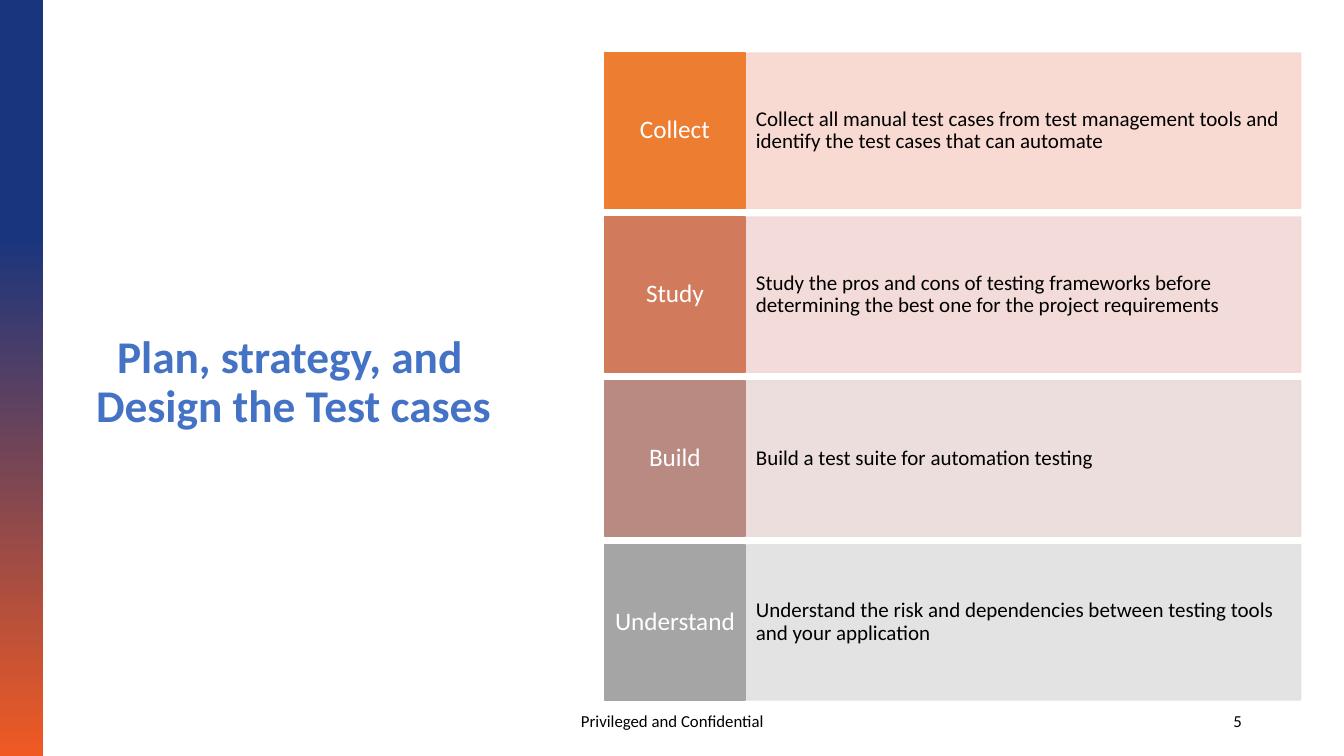
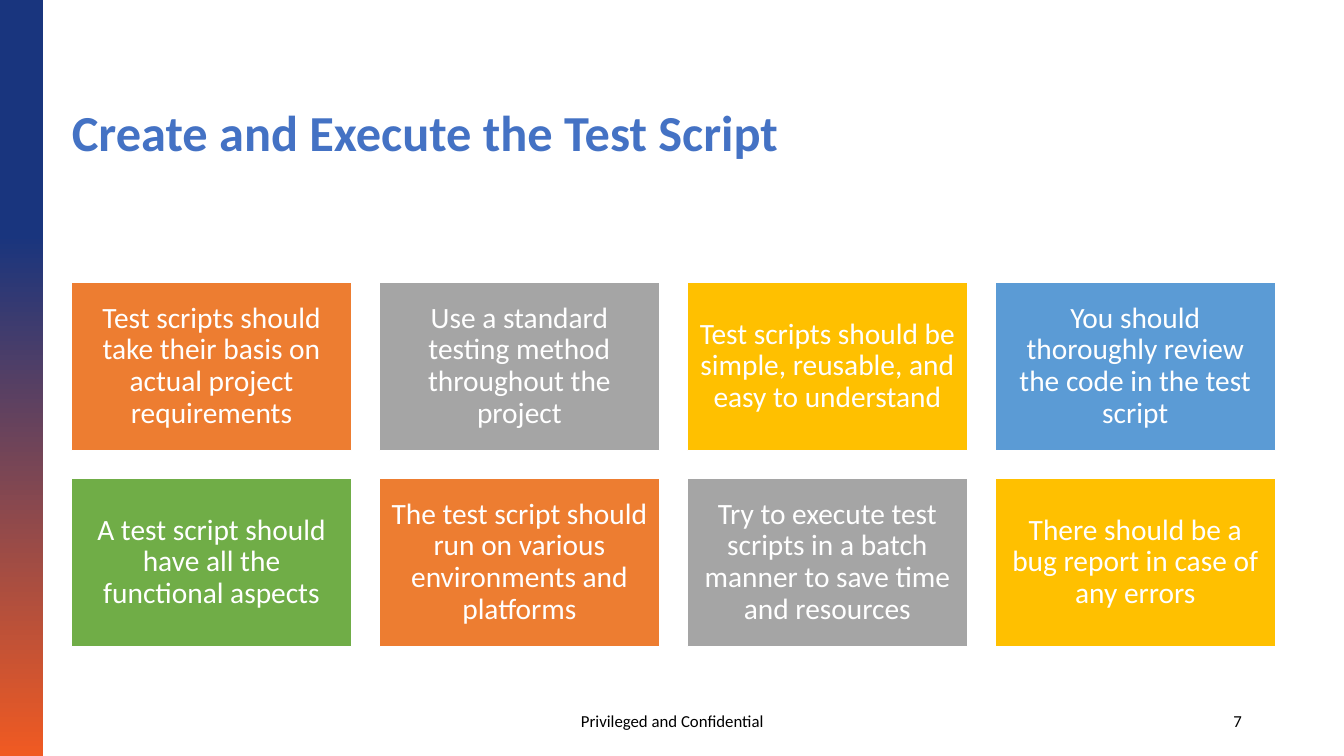
from lxml import etree
from pptx import Presentation
from pptx.dml.color import RGBColor
from pptx.enum import shapes, text
from pptx.oxml.ns import qn
from pptx.util import Cm, Pt

FONT = "Calibri"
BLACK = RGBColor(0x00, 0x00, 0x00)
WHITE = RGBColor(0xFF, 0xFF, 0xFF)
TITLE_BLUE = RGBColor(0x44, 0x72, 0xC4)
NAVY = RGBColor(0x19, 0x35, 0x7E)
FLAME = RGBColor(0xF0, 0x5A, 0x22)
ORANGE = RGBColor(0xED, 0x7D, 0x31)
CLAY = RGBColor(0xD1, 0x7B, 0x5C)
ROSE = RGBColor(0xB9, 0x8A, 0x82)
GRAY = RGBColor(0xA5, 0xA5, 0xA5)
GOLD = RGBColor(0xFF, 0xC0, 0x00)
BLUE = RGBColor(0x5B, 0x9B, 0xD5)
GREEN = RGBColor(0x70, 0xAD, 0x47)
PALE_ORANGE = RGBColor(0xF8, 0xD7, 0xCE)
PALE_CLAY = RGBColor(0xF1, 0xD8, 0xD4)
PALE_ROSE = RGBColor(0xE9, 0xDB, 0xDA)
PALE_GRAY = RGBColor(0xE1, 0xE1, 0xE1)

FOOTER = "Privileged and Confidential"
STEPS = [
    ("Collect", "Collect all manual test cases from test management tools and "
     "identify the test cases that can automate", ORANGE, PALE_ORANGE),
    ("Study", "Study the pros and cons of testing frameworks before determining "
     "the best one for the project requirements", CLAY, PALE_CLAY),
    ("Build", "Build a test suite for automation testing", ROSE, PALE_ROSE),
    ("Understand", "Understand the risk and dependencies between testing tools "
     "and your application", GRAY, PALE_GRAY),
]
CARDS = [
    ("Test scripts should take their basis on actual project requirements", ORANGE),
    ("Use a standard testing method throughout the project", GRAY),
    ("Test scripts should be simple, reusable, and easy to understand", GOLD),
    ("You should thoroughly review the code in the test script", BLUE),
    ("A test script should have all the functional aspects", GREEN),
    ("The test script should run on various environments and platforms", ORANGE),
    ("Try to execute test scripts in a batch manner to save time and resources", GRAY),
    ("There should be a bug report in case of any errors", GOLD),
]
CARD_COLUMNS = 4
LEFT, CENTER, RIGHT = text.PP_ALIGN.LEFT, text.PP_ALIGN.CENTER, text.PP_ALIGN.RIGHT


def cm(*values):
    return [Cm(v) for v in values]


def write(sp, words, size=12, color=BLACK, bold=False, align=LEFT,
          spacing=0.9, margins=(0.25, 0.13, 0.25, 0.13), indent=0):
    """Fill a shape with one middle-anchored paragraph; lengths are in cm."""
    tf = sp.text_frame
    tf.word_wrap = True
    tf.auto_size = text.MSO_AUTO_SIZE.NONE
    tf.vertical_anchor = text.MSO_ANCHOR.MIDDLE
    tf.margin_left, tf.margin_top, tf.margin_right, tf.margin_bottom = cm(*margins)
    p = tf.paragraphs[0]
    p.alignment, p.line_spacing = align, spacing
    if indent:
        p._p.get_or_add_pPr().set("indent", str(Cm(indent)))
    r = p.add_run()
    r.text = words
    r.font.name, r.font.size, r.font.bold = FONT, Pt(size), bold
    r.font.color.rgb = color


def add_box(slide, box, fill, line, opacity=None):
    sp = slide.shapes.add_shape(shapes.MSO_SHAPE.RECTANGLE, *cm(*box))
    sp.shadow.inherit = False
    sp.fill.solid()
    sp.fill.fore_color.rgb = fill
    sp.line.color.rgb = line
    sp.line.width = Pt(1)
    if opacity:
        for clr in list(sp.element.iter(qn("a:srgbClr"))):
            etree.SubElement(clr, qn("a:alpha")).set("val", str(opacity * 1000))
    return sp


def add_master_band(prs, slide):
    """Draw the gradient side band and move it to the slide master."""
    band = slide.shapes.add_shape(shapes.MSO_SHAPE.RECTANGLE, *cm(0, 0, 1.09, 19.05))
    band.shadow.inherit = False
    band.line.fill.background()
    band.fill.gradient()
    band.fill.gradient_angle = 270
    for stop, (position, color) in zip(band.fill.gradient_stops,
                                       [(0.31, NAVY), (1, FLAME)]):
        stop.position, stop.color.rgb = position, color
    prs.slide_master.shapes.element.insert(2, band.element)


def add_slide(prs, title, box, size, number, indent=0):
    slide = prs.slides.add_slide(prs.slide_layouts[5])
    sp = slide.shapes.title
    sp.left, sp.top, sp.width, sp.height = cm(*box)
    write(sp, title, size=size, color=TITLE_BLUE, bold=True,
          margins=(1.78, 0.13, 0.25, 0.13), indent=indent)
    for words, left, width, align in [(FOOTER, 11.23, 11.43, CENTER),
                                      (str(number), 23.93, 7.62, RIGHT)]:
        tb = slide.shapes.add_textbox(*cm(left, 17.65, width, 1.02))
        write(tb, words, align=align, spacing=1)
    return slide


def add_steps(slide):
    left, top, height, pitch = 15.24, 1.34, 3.91, 4.13
    label_width, detail_width = 3.54, 14
    for i, (label, detail, color, pale) in enumerate(STEPS):
        y = top + i * pitch
        sp = add_box(slide, (left + label_width, y, detail_width, height),
                     pale, pale, opacity=90)
        write(sp, detail, size=15, margins=(0.27, 0.99, 0.27, 0.99))
        sp = add_box(slide, (left, y, label_width, height), color, color)
        write(sp, label, size=18, color=WHITE, align=CENTER,
              margins=(0.17, 0.38, 0.17, 0.38))


def add_cards(slide):
    left, top, width, height, gap = 1.8, 7.11, 7.06, 4.24, 0.7
    for i, (words, color) in enumerate(CARDS):
        row, col = divmod(i, CARD_COLUMNS)
        box = (left + col * (width + gap), top + row * (height + gap), width, height)
        write(add_box(slide, box, color, WHITE), words, size=21, color=WHITE,
              align=CENTER, margins=(0.23,) * 4)


def main():
    prs = Presentation()
    prs.slide_width, prs.slide_height = cm(33.87, 19.05)
    plan = add_slide(prs, "Plan, strategy, and Design the Test cases",
                     (0.64, 8.22, 13.79, 2.87), 32.4, 5, indent=0.53)
    add_master_band(prs, plan)
    add_steps(plan)
    script = add_slide(prs, "Create and Execute the Test Script",
                       (0.03, 2.34, 33.8, 2.11), 36, 7)
    add_cards(script)
    prs.save("out.pptx")


if __name__ == "__main__":
    main()
